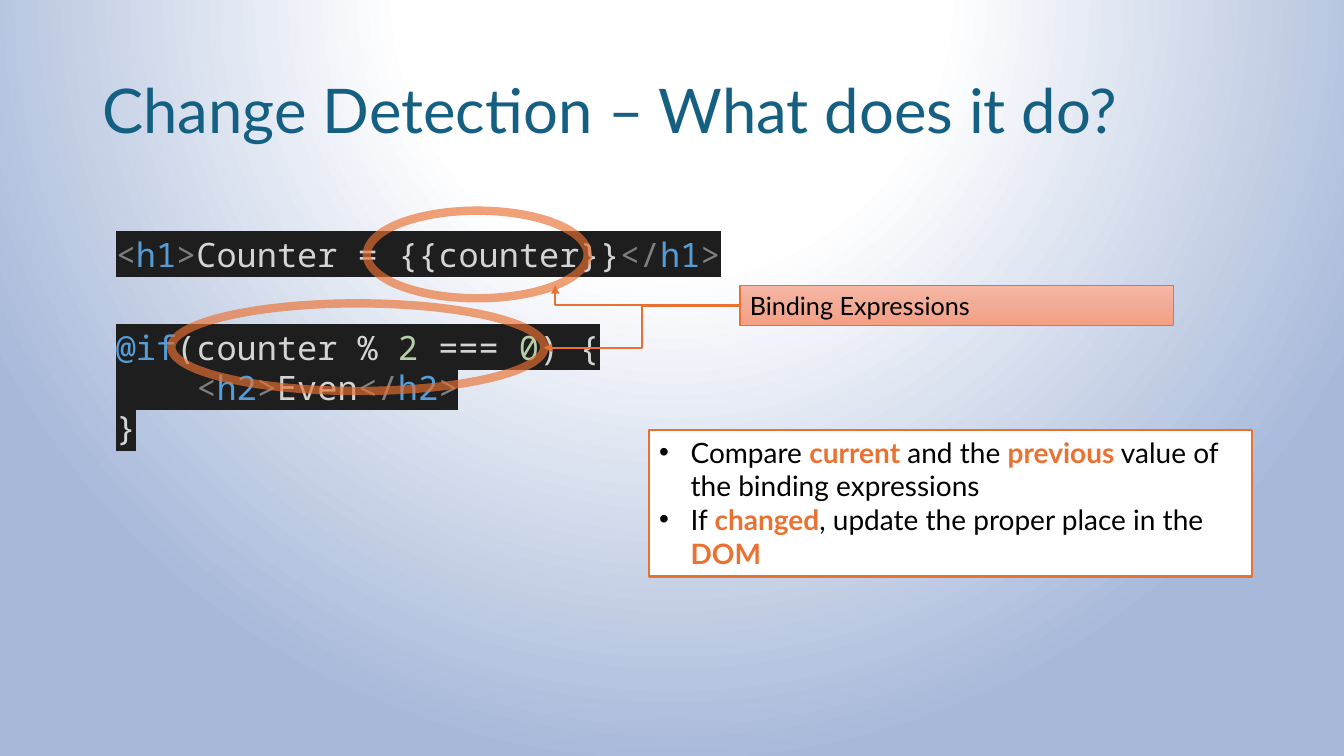
from lxml import etree
from pptx import Presentation
from pptx import util as u
from pptx.dml.color import RGBColor
from pptx.enum import shapes, text
from pptx.oxml import parse_xml
from pptx.oxml.ns import nsdecls, qn

TEAL = RGBColor(0x15, 0x60, 0x82)
ORANGE = RGBColor(0xE9, 0x71, 0x32)
BLACK = RGBColor(0, 0, 0)
WHITE = RGBColor(0xFF, 0xFF, 0xFF)
GRAY = RGBColor(0x80, 0x80, 0x80)
BLUE = RGBColor(0x56, 0x9C, 0xD6)
LIGHT = RGBColor(0xD4, 0xD4, 0xD4)
GREEN = RGBColor(0xB5, 0xCE, 0xA8)
DARK = RGBColor(0x1E, 0x1E, 0x1E)
MIST = RGBColor(0xA7, 0xB8, 0xD9)
PEACH = RGBColor(0xF5, 0xB8, 0xA5)
SALMON = RGBColor(0xF2, 0xAB, 0x96)
CORAL = RGBColor(0xF5, 0x9E, 0x82)


def set_gradient(parent, stops, shading):
    marks = "".join(
        f'<a:gs pos="{place * 1000}"><a:srgbClr val="{color}"/></a:gs>' for place, color in stops
    )
    solid = parent.find(qn("a:solidFill"))
    parent.replace(solid, parse_xml(
        f'<a:gradFill {nsdecls("a")} rotWithShape="1"><a:gsLst>{marks}</a:gsLst>{shading}</a:gradFill>'
    ))


def write(frame, lines, size, font, highlight=None):
    frame.word_wrap = True
    for number, line in enumerate(lines):
        para = frame.paragraphs[0] if number == 0 else frame.add_paragraph()
        para.alignment = text.PP_ALIGN.LEFT
        for words, color in line:
            span = para.add_run()
            span.text = words
            span.font.size = u.Pt(size)
            span.font.name = font
            span.font.bold = color == ORANGE
            span.font.color.rgb = color
            if highlight is not None:
                span.font._element.find(qn("a:solidFill")).addnext(parse_xml(
                    f'<a:highlight {nsdecls("a")}><a:srgbClr val="{highlight}"/></a:highlight>'
                ))


deck = Presentation()
deck.slide_width, deck.slide_height = u.Pt(960), u.Pt(540)
page = deck.slides.add_slide(deck.slide_layouts[6])
page.background.fill.solid()
set_gradient(
    page._element.cSld.bg.bgPr,
    [(0, WHITE), (35, WHITE), (100, MIST)],
    '<a:path path="circle"><a:fillToRect l="50000" t="-80000" r="50000" b="180000"/></a:path>',
)

title = page.shapes.add_textbox(u.Pt(66), u.Pt(28.75), u.Pt(828), u.Pt(104.4))
title.text_frame.vertical_anchor = text.MSO_ANCHOR.MIDDLE
write(title.text_frame, [[("Change Detection – What does it do?", TEAL)]], 44, "Lato")
title.text_frame.paragraphs[0].line_spacing = 0.9

heading_code = [
    [("<", GRAY), ("h1", BLUE), (">", GRAY), ("Counter = {{counter}}", LIGHT),
     ("</", GRAY), ("h1", BLUE), (">", GRAY)],
]
condition_code = [
    [("@if", BLUE), ("(counter % ", LIGHT), ("2", GREEN), (" === ", LIGHT),
     ("0", GREEN), (") {", LIGHT)],
    [("    ", LIGHT), ("<", GRAY), ("h2", BLUE), (">", GRAY), ("Even", LIGHT),
     ("</", GRAY), ("h2", BLUE), (">", GRAY)],
    [("}", LIGHT)],
]
for top, height, code in [(163.4, 36, heading_code), (229.7, 138, condition_code)]:
    box = page.shapes.add_textbox(u.Pt(75.6), u.Pt(top), u.Pt(480), u.Pt(height))
    write(box.text_frame, code, 24, "Noto Sans Mono", DARK)

for left, top, width in [(262.1, 150.5, 157.7), (122.4, 216.7, 266.4)]:
    ring = page.shapes.add_shape(
        shapes.MSO_SHAPE.OVAL, u.Pt(left), u.Pt(top), u.Pt(width), u.Pt(62.6))
    ring.shadow.inherit = False
    ring.fill.background()
    ring.line.color.rgb = ORANGE
    ring.line.width = u.Pt(6)
    tint = ring.line._ln.find(".//" + qn("a:srgbClr"))
    etree.SubElement(tint, qn("a:alpha")).set("val", "66000")

label_lines = [[("Binding Expressions", BLACK)]]
note_lines = [
    [("Compare ", BLACK), ("current", ORANGE), (" and the ", BLACK), ("previous", ORANGE),
     (" value of the binding expressions", BLACK)],
    [("If ", BLACK), ("changed", ORANGE), (", update the proper place in the ", BLACK),
     ("DOM", ORANGE)],
]
panels = []
for left, top, width, height, border, size, lines in [
    (528.5, 203.8, 309.6, 28.8, 1, 18, label_lines),
    (463.7, 307.4, 430.6, 104.4, 1.5, 20, note_lines),
]:
    panel = page.shapes.add_shape(
        shapes.MSO_SHAPE.RECTANGLE, u.Pt(left), u.Pt(top), u.Pt(width), u.Pt(height))
    panel.shadow.inherit = False
    panel.fill.solid()
    panel.fill.fore_color.rgb = WHITE
    panel.line.color.rgb = ORANGE
    panel.line.width = u.Pt(border)
    panel.text_frame.vertical_anchor = text.MSO_ANCHOR.TOP
    write(panel.text_frame, lines, size, "Lato")
    panels.append(panel)

label, note = panels
set_gradient(label._element.spPr, [(0, PEACH), (50, SALMON), (100, CORAL)],
             '<a:lin ang="5400000" scaled="0"/>')
for para in note.text_frame.paragraphs:
    layout = para._p.get_or_add_pPr()
    layout.set("marL", str(u.Pt(22.5)))
    layout.set("indent", str(-u.Pt(22.5)))
    etree.SubElement(layout, qn("a:buFont")).set("typeface", "Arial")
    etree.SubElement(layout, qn("a:buChar")).set("char", "•")

for end_x, end_y, bend in [(396.7, 203.8, "bentConnector2"), (388.4, 248.4, "bentConnector3")]:
    arrow = page.shapes.add_connector(
        shapes.MSO_CONNECTOR.ELBOW, u.Pt(528.5), u.Pt(218.2), u.Pt(end_x), u.Pt(end_y))
    arrow.line.color.rgb = ORANGE
    arrow.line.width = u.Pt(1.5)
    etree.SubElement(arrow.line._ln, qn("a:tailEnd")).set("type", "triangle")
    outline = arrow._element.spPr
    outline.find(qn("a:prstGeom")).set("prst", bend)
    etree.SubElement(outline, qn("a:effectLst"))

deck.save("out.pptx")
